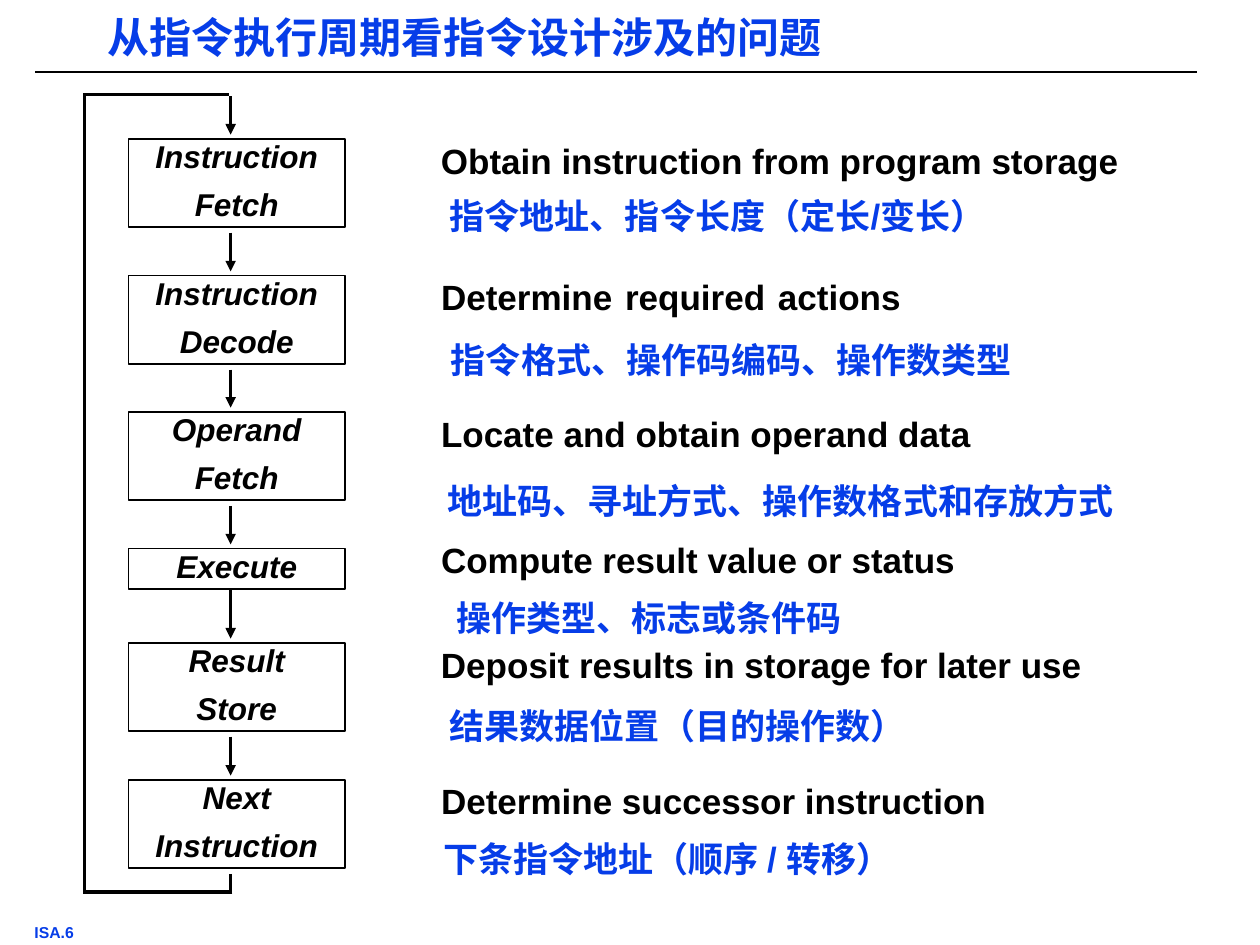
from typing import NamedTuple

from lxml.etree import SubElement
from pptx import Presentation
from pptx.dml.color import RGBColor
from pptx.enum.shapes import MSO_CONNECTOR, MSO_SHAPE
from pptx.enum.text import MSO_ANCHOR, PP_ALIGN
from pptx.oxml.ns import qn
from pptx.util import Pt

BLACK = RGBColor(0x00, 0x00, 0x00)
BLUE = RGBColor(0x06, 0x3D, 0xE8)
WHITE = RGBColor(0xFF, 0xFF, 0xFF)
FONT_NAME = "Arial"

BOX_LEFT, BOX_WIDTH = 73.4, 123.8
ONE_LINE_HEIGHT, TWO_LINE_HEIGHT = 23.2, 50.4
PURPOSE_LEFT = 247
FLOW_X = 131.8
LOOP_LEFT, LOOP_TOP, LOOP_BOTTOM = 48.2, 54, 509.8
ARROW_END_GAP = 2.4


class Stage(NamedTuple):
    name: str
    top: float
    arrow_start_gap: float
    purpose: str
    purpose_top: float
    purpose_width: float
    issue: str
    issue_left: float
    issue_top: float
    issue_width: float = 358

    @property
    def height(self) -> float:
        return TWO_LINE_HEIGHT if "\n" in self.name else ONE_LINE_HEIGHT

    @property
    def bottom(self) -> float:
        return self.top + self.height


class TextStyle(NamedTuple):
    size: float
    color: RGBColor
    italic: bool = False
    alignment: PP_ALIGN = PP_ALIGN.LEFT
    line_spacing: float = 1.0
    space_between: float = 0


TITLE_STYLE = TextStyle(24, BLUE, line_spacing=0.87)
FOOTER_STYLE = TextStyle(9, BLUE, line_spacing=0.85)
STAGE_STYLE = TextStyle(18, BLACK, True, PP_ALIGN.CENTER, 0.86, 9)
PURPOSE_STYLE = TextStyle(20, BLACK, False, PP_ALIGN.JUSTIFY, 0.97)
ISSUE_STYLE = TextStyle(20, BLUE)

STAGES = [
    Stage("Instruction\nFetch", 79.3, 3.3,
          "Obtain instruction from program storage", 79.2, 437,
          "指令地址、指令长度（定长/变长）", 252, 109.4),
    Stage("Instruction\nDecode", 157.5, 3.3,
          "Determine required actions ", 157, 272.9,
          "指令格式、操作码编码、操作数类型", 252.7, 191.5),
    Stage("Operand\nFetch", 235.4, 3.3,
          "Locate and obtain operand data", 235, 419,
          "地址码、寻址方式、操作数格式和存放方式", 250.6, 272.2, 422),
    Stage("Execute", 313.5, 0.4,
          "Compute result value or status", 306.8, 419,
          "操作类型、标志或条件码", 255.6, 339.1),
    Stage("Result\nStore", 367.3, 3.3,
          "Deposit results in storage for later use", 367.2, 413.3,
          "结果数据位置（目的操作数）", 252, 400.3),
    Stage("Next\nInstruction", 445.6, 3.3,
          "Determine successor instruction", 445, 406.8,
          "下条指令地址（顺序 / 转移）", 248.4, 476.6),
]


def set_text(shape, text: str, style: TextStyle, wrap: bool = True) -> None:
    text_frame = shape.text_frame
    text_frame.word_wrap = wrap
    text_frame.vertical_anchor = MSO_ANCHOR.TOP
    text_frame.margin_left = text_frame.margin_right = Pt(5)
    text_frame.margin_top = text_frame.margin_bottom = Pt(2)
    text_frame.text = text
    for index, paragraph in enumerate(text_frame.paragraphs):
        paragraph.alignment = style.alignment
        paragraph.line_spacing = style.line_spacing
        if index > 0:
            paragraph.space_before = Pt(style.space_between)
        for run in paragraph.runs:
            run.font.name = FONT_NAME
            run.font.size = Pt(style.size)
            run.font.bold = True
            run.font.italic = style.italic
            run.font.color.rgb = style.color


def add_text(slide, left: float, top: float, width: float, height: float,
             text: str, style: TextStyle, wrap: bool = True):
    shape = slide.shapes.add_textbox(Pt(left), Pt(top), Pt(width), Pt(height))
    set_text(shape, text, style, wrap)
    return shape


def add_line(slide, start: tuple[float, float], end: tuple[float, float],
             weight: float = 2, arrow: bool = False) -> None:
    connector = slide.shapes.add_connector(
        MSO_CONNECTOR.STRAIGHT, Pt(start[0]), Pt(start[1]), Pt(end[0]), Pt(end[1]))
    connector.line.color.rgb = BLACK
    connector.line.width = Pt(weight)
    if arrow:
        SubElement(connector.line._get_or_add_ln(), qn("a:tailEnd"), type="triangle")
    SubElement(connector._element.spPr, qn("a:effectLst"))


def add_stage(slide, stage: Stage) -> None:
    box = slide.shapes.add_shape(MSO_SHAPE.RECTANGLE, Pt(BOX_LEFT), Pt(stage.top),
                                 Pt(BOX_WIDTH), Pt(stage.height))
    box.shadow.inherit = False
    box.fill.background()
    box.line.color.rgb = BLACK
    box.line.width = Pt(1)
    set_text(box, stage.name, STAGE_STYLE)
    add_text(slide, PURPOSE_LEFT, stage.purpose_top, stage.purpose_width, 27.4,
             stage.purpose, PURPOSE_STYLE)
    add_text(slide, stage.issue_left, stage.issue_top, stage.issue_width, 28.1,
             stage.issue, ISSUE_STYLE)


def main() -> None:
    presentation = Presentation()
    presentation.slide_width, presentation.slide_height = Pt(720), Pt(540)
    slide = presentation.slides.add_slide(presentation.slide_layouts[6])

    # Footer, rule and title
    footer = add_text(slide, 14.7, 527, 73.4, 13, "ISA.6", FOOTER_STYLE, wrap=False)
    footer.fill.solid()
    footer.fill.fore_color.rgb = WHITE
    add_line(slide, (20.2, 41.2), (684, 41.2), weight=1)
    add_text(slide, 56.2, 8.6, 520.6, 28.8,
             "从指令执行周期看指令设计涉及的问题", TITLE_STYLE)

    # Stages with their purpose and design issues
    for stage in STAGES:
        add_stage(slide, stage)

    # Arrows between consecutive stages
    for stage, following in zip(STAGES, STAGES[1:]):
        add_line(slide, (FLOW_X, stage.bottom + stage.arrow_start_gap),
                 (FLOW_X, following.top - ARROW_END_GAP), arrow=True)

    # Loop from the last stage back to the first
    last = STAGES[-1]
    add_line(slide, (FLOW_X, last.bottom + last.arrow_start_gap), (FLOW_X, LOOP_BOTTOM))
    add_line(slide, (FLOW_X + 1, LOOP_BOTTOM), (LOOP_LEFT - 1, LOOP_BOTTOM))
    add_line(slide, (LOOP_LEFT, LOOP_BOTTOM + 1), (LOOP_LEFT, LOOP_TOP - 1))
    add_line(slide, (LOOP_LEFT, LOOP_TOP), (FLOW_X - 1, LOOP_TOP))
    add_line(slide, (FLOW_X, LOOP_TOP + 1), (FLOW_X, STAGES[0].top - ARROW_END_GAP),
             arrow=True)

    presentation.save("out.pptx")


if __name__ == "__main__":
    main()
